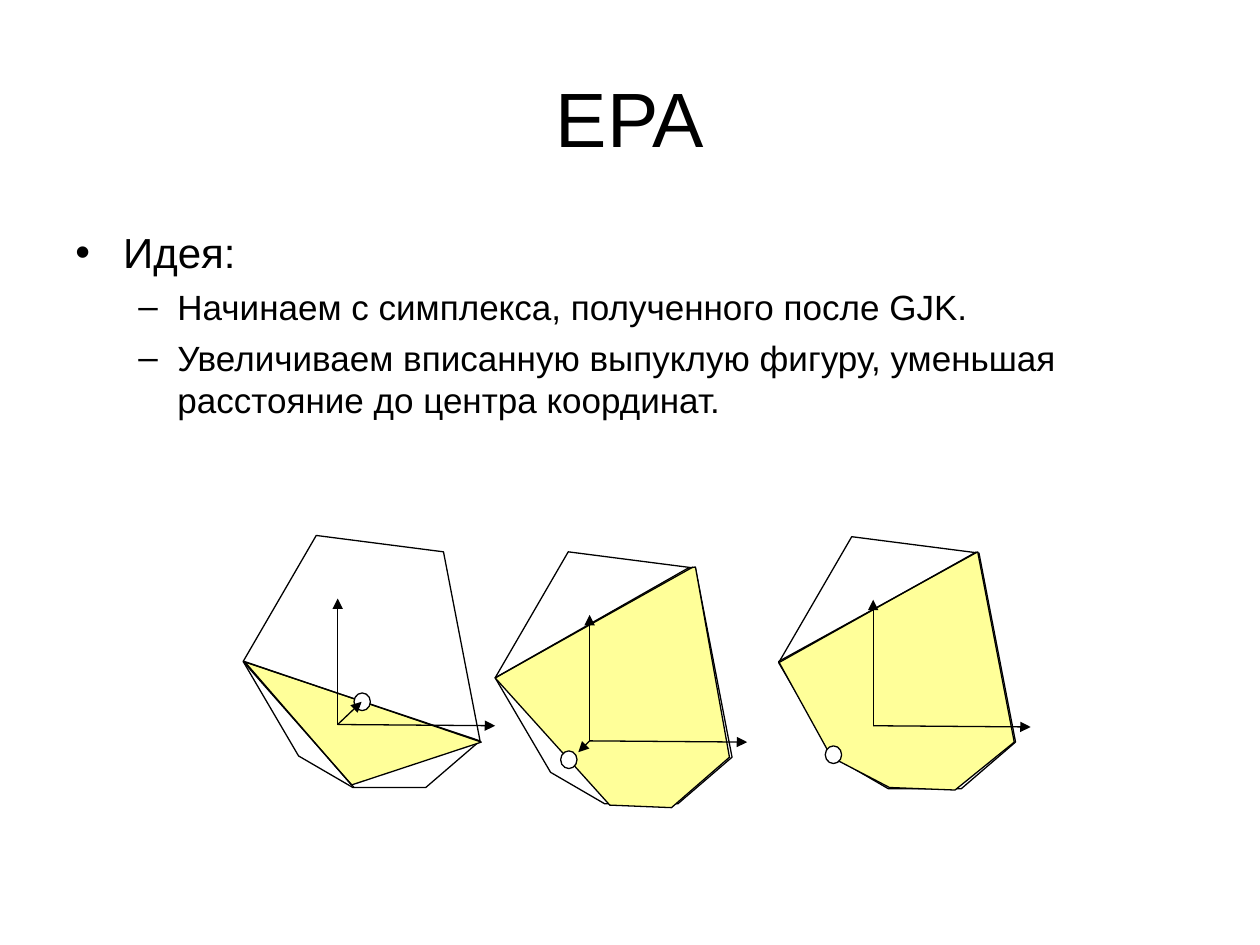
from dataclasses import dataclass

from lxml import etree
from pptx import Presentation
from pptx.dml.color import RGBColor
from pptx.enum.shapes import MSO_CONNECTOR, MSO_SHAPE
from pptx.enum.text import MSO_ANCHOR, PP_ALIGN
from pptx.oxml.ns import qn
from pptx.util import Inches, Pt

OVAL = MSO_SHAPE.OVAL
STRAIGHT = MSO_CONNECTOR.STRAIGHT
CENTER = PP_ALIGN.CENTER
TOP, MIDDLE = MSO_ANCHOR.TOP, MSO_ANCHOR.MIDDLE
TITLE_ONLY = 5


@dataclass(frozen=True)
class Theme:
    font: str = "Arial"
    ink: RGBColor = RGBColor(0, 0, 0)
    paper: RGBColor = RGBColor(255, 255, 255)
    simplex: RGBColor = RGBColor(0xFF, 0xFF, 0x99)
    title_size: int = 44
    level_sizes: tuple = (24, 20)
    line_width: float = 0.75


THEME = Theme()

# Per level: bullet, text margin, hanging indent (inches), space before (points)
LEVELS = (("•", 0.38, 0.38, 6), ("–", 0.81, 0.31, 5))
IDEA = (
    (0, "Идея:"),
    (1, "Начинаем с симплекса, полученного после GJK."),
    (1, "Увеличиваем вписанную выпуклую фигуру, уменьшая расстояние до центра координат."),
)

# Points below are in inches from the top left corner of each step's hull
HULL = ((0.58, 0), (0, 1), (0.44, 1.75), (0.87, 2), (1.45, 2), (1.88, 1.63), (1.59, 0.13))
ORIGIN = (0.75, 1.5)
AXIS_TIPS = ((0.75, 0.5), (2, 1.51))
MARKER_SIZE = (0.13, 0.14)
UPPER_EDGE = ((0, 1), (1.57, 0.12))


@dataclass(frozen=True)
class Step:
    corner: tuple
    inner: tuple
    edges: tuple
    marker: tuple
    nearest: tuple = ()


STEPS = (
    Step(
        corner=(1.93, 4.25),
        inner=((0.01, 1), (0.86, 1.98), (1.89, 1.64)),
        edges=(((0, 1), (1.88, 1.63)), ((0, 1), (0.88, 2))),
        marker=(0.88, 1.25),
        nearest=(0.94, 1.32),
    ),
    Step(
        corner=(3.93, 4.38),
        inner=((0, 1), (1.53, 0.13), (1.59, 0.12), (1.86, 1.63), (1.4, 2.03), (0.91, 2.01)),
        edges=(UPPER_EDGE,),
        marker=(0.52, 1.58),
        nearest=(0.66, 1.59),
    ),
    Step(
        corner=(6.18, 4.26),
        inner=((1.58, 0.12), (0, 0.99), (0.42, 1.75), (0.88, 1.99), (1.4, 2.01), (1.87, 1.63)),
        edges=(UPPER_EDGE,),
        marker=(0.37, 1.66),
    ),
)


def place(corner, point):
    return Inches(corner[0] + point[0]), Inches(corner[1] + point[1])


def format_runs(p, size):
    for r in p.runs:
        r.font.name = THEME.font
        r.font.size = Pt(size)
        r.font.color.rgb = THEME.ink


def style_line(line):
    line.color.rgb = THEME.ink
    line.width = Pt(THEME.line_width)


def style_shape(sp, fill):
    sp.shadow.inherit = False
    sp.fill.solid()
    sp.fill.fore_color.rgb = fill
    style_line(sp.line)


def set_title(slide, text):
    title = slide.shapes.title
    title.left, title.top = Inches(0.5), Inches(0.3)
    title.width, title.height = Inches(9), Inches(1.25)
    tf = title.text_frame
    tf.text = text
    tf.vertical_anchor = MIDDLE
    p = tf.paragraphs[0]
    p.alignment = CENTER
    format_runs(p, THEME.title_size)


def set_bullet(p, level):
    char, margin, hang, space = LEVELS[level]
    p.level = level
    p.space_before = Pt(space)
    pPr = p._p.get_or_add_pPr()
    pPr.set("marL", str(Inches(margin)))
    pPr.set("indent", str(-Inches(hang)))
    etree.SubElement(pPr, qn("a:buFont"), typeface=THEME.font)
    etree.SubElement(pPr, qn("a:buChar"), char=char)


def add_bullets(slide, items):
    box = slide.shapes.add_textbox(Inches(0.5), Inches(1.75), Inches(9), Inches(4.95))
    tf = box.text_frame
    tf.word_wrap = True
    tf.vertical_anchor = TOP
    for i, (level, text) in enumerate(items):
        p = tf.add_paragraph() if i else tf.paragraphs[0]
        p.text = text
        set_bullet(p, level)
        format_runs(p, THEME.level_sizes[level])


def add_polygon(slide, corner, points, fill):
    start, *rest = [place(corner, point) for point in points]
    builder = slide.shapes.build_freeform(*start)
    builder.add_line_segments(rest, close=True)
    style_shape(builder.convert_to_shape(), fill)


def add_line(slide, corner, start, end, arrow=False):
    line = slide.shapes.add_connector(STRAIGHT, *place(corner, start), *place(corner, end))
    style_line(line.line)
    if arrow:
        etree.SubElement(line.line._get_or_add_ln(), qn("a:tailEnd"), type="triangle")
    etree.SubElement(line._element.spPr, qn("a:effectLst"))


def add_marker(slide, corner, point):
    width, height = map(Inches, MARKER_SIZE)
    sp = slide.shapes.add_shape(OVAL, *place(corner, point), width, height)
    style_shape(sp, THEME.paper)


def add_step(slide, step):
    """Draw the hull, the inscribed figure, the axes and the nearest point."""
    add_polygon(slide, step.corner, HULL, THEME.paper)
    add_polygon(slide, step.corner, step.inner, THEME.simplex)
    for start, end in step.edges:
        add_line(slide, step.corner, start, end)
    add_marker(slide, step.corner, step.marker)
    tips = AXIS_TIPS + ((step.nearest,) if step.nearest else ())
    for tip in tips:
        add_line(slide, step.corner, ORIGIN, tip, arrow=True)


def main():
    prs = Presentation()
    prs.slide_width, prs.slide_height = Inches(10), Inches(7.5)
    slide = prs.slides.add_slide(prs.slide_layouts[TITLE_ONLY])
    set_title(slide, "EPA")
    add_bullets(slide, IDEA)
    for step in STEPS:
        add_step(slide, step)
    prs.save("out.pptx")


if __name__ == "__main__":
    main()
